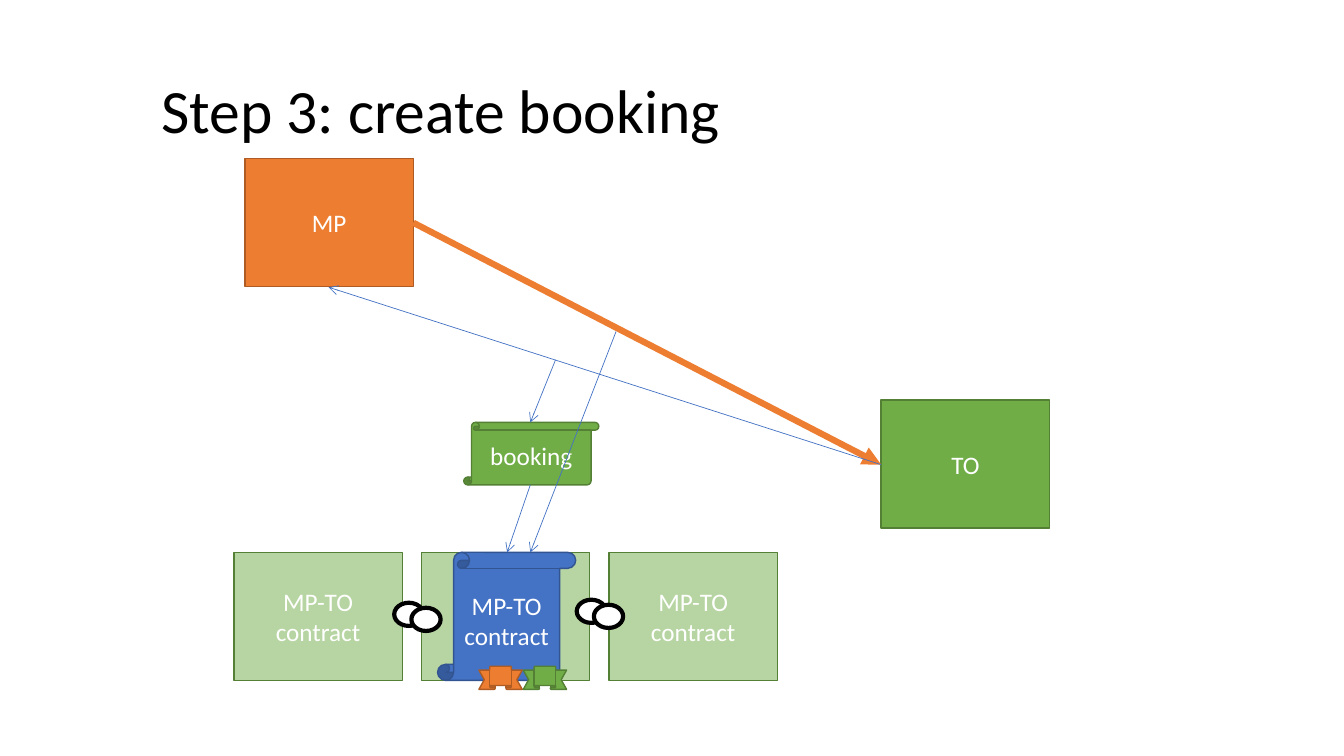
from lxml import etree
from pptx import Presentation
from pptx.dml.color import RGBColor
from pptx.enum.shapes import MSO_CONNECTOR, MSO_SHAPE
from pptx.enum.text import MSO_ANCHOR, PP_ALIGN
from pptx.oxml.ns import qn
from pptx.util import Inches, Pt

RECTANGLE = MSO_SHAPE.RECTANGLE
OVAL = MSO_SHAPE.OVAL
SCROLL = MSO_SHAPE.VERTICAL_SCROLL
RIBBON = MSO_SHAPE.UP_RIBBON
STRAIGHT = MSO_CONNECTOR.STRAIGHT
MIDDLE = MSO_ANCHOR.MIDDLE
LEFT, CENTER = PP_ALIGN.LEFT, PP_ALIGN.CENTER
TITLE_ONLY = 5

WHITE, BLACK = "FFFFFF", "000000"
ORANGE, DARK_ORANGE = "ED7D31", "AF5C24"
GREEN, DARK_GREEN = "70AD47", "538035"
BLUE, DARK_BLUE = "4472C4", "325491"

BOX_WIDTH, BOX_HEIGHT = 1.67, 1.27
CONTRACT_TOP = 5.48


def color(hex_value):
    return RGBColor.from_string(hex_value)


def write_text(shape, text, size=18, font_color=WHITE, align=CENTER, line_spacing=None):
    frame = shape.text_frame
    frame.word_wrap = True
    frame.vertical_anchor = MIDDLE
    paragraph = frame.paragraphs[0]
    paragraph.alignment = align
    paragraph.line_spacing = line_spacing
    run = paragraph.add_run()
    run.text = text
    run.font.name = "Calibri"
    run.font.size = Pt(size)
    run.font.color.rgb = color(font_color)


def add_figure(slide, kind, left, top, width, height, fill, line,
               line_width=1, text=None, opacity=None):
    shape = slide.shapes.add_shape(
        kind, Inches(left), Inches(top), Inches(width), Inches(height))
    shape.shadow.inherit = False
    shape.fill.solid()
    shape.fill.fore_color.rgb = color(fill)
    shape.line.color.rgb = color(line)
    shape.line.width = Pt(line_width)
    if opacity is not None:
        fill_color = shape.fill._xPr.find(qn("a:solidFill"))[0]
        etree.SubElement(fill_color, qn("a:alpha"), val=str(opacity * 1000))
    if text:
        write_text(shape, text)


def add_box(slide, left, top, fill, line, text, opacity=None):
    add_figure(slide, RECTANGLE, left, top, BOX_WIDTH, BOX_HEIGHT, fill, line,
               text=text, opacity=opacity)


def add_arrow(slide, start, end, line_color=BLUE, width=0.5, head="arrow"):
    points = [Inches(value) for value in (*start, *end)]
    connector = slide.shapes.add_connector(STRAIGHT, *points)
    connector.line.color.rgb = color(line_color)
    connector.line.width = Pt(width)
    etree.SubElement(connector.line._get_or_add_ln(), qn("a:tailEnd"), type=head)
    etree.SubElement(connector._element.spPr, qn("a:effectLst"))


def add_chain_link(slide, left, top):
    """Draw two overlapping rings that join neighbouring contracts."""
    for step in range(2):
        add_figure(slide, OVAL, left + 0.17 * step, top + 0.05 * step,
                   0.29, 0.23, WHITE, BLACK, line_width=3)


def add_title(slide, text):
    title = slide.shapes.title
    title.left, title.top = Inches(1.5), Inches(0.4)
    title.width, title.height = Inches(11.5), Inches(1.45)
    write_text(title, text, size=44, font_color=BLACK, align=LEFT, line_spacing=0.9)


def main():
    presentation = Presentation()
    presentation.slide_width = Inches(13.33)
    presentation.slide_height = Inches(7.5)
    slide = presentation.slides.add_slide(presentation.slide_layouts[TITLE_ONLY])
    add_title(slide, "Step 3: create booking")

    add_box(slide, 2.43, 1.57, ORANGE, DARK_ORANGE, "MP")
    add_box(slide, 8.74, 3.97, GREEN, DARK_GREEN, "TO")
    add_arrow(slide, (4.1, 2.21), (8.74, 4.61), ORANGE, 4.5, "triangle")

    for column in range(3):
        add_box(slide, 2.32 + 1.86 * column, CONTRACT_TOP, GREEN, DARK_GREEN,
                "MP-TO contract", opacity=50)
    add_chain_link(slide, 3.91, 5.98)
    add_chain_link(slide, 5.72, 5.95)

    add_figure(slide, SCROLL, 4.34, CONTRACT_TOP, 1.37, BOX_HEIGHT, BLUE, DARK_BLUE,
               text="MP-TO contract")
    add_figure(slide, RIBBON, 4.75, 6.61, 0.43, 0.23, ORANGE, DARK_ORANGE)
    add_figure(slide, RIBBON, 5.19, 6.61, 0.43, 0.23, GREEN, DARK_GREEN)
    add_figure(slide, SCROLL, 4.6, 4.19, 1.34, 0.62, GREEN, DARK_GREEN, text="booking")

    add_arrow(slide, (8.74, 4.61), (3.26, 2.85))
    add_arrow(slide, (5.51, 3.57), (5.26, 4.19))
    add_arrow(slide, (5.26, 4.81), (5.03, CONTRACT_TOP))
    add_arrow(slide, (6.11, 3.29), (5.26, CONTRACT_TOP))

    presentation.save("out.pptx")


if __name__ == "__main__":
    main()
